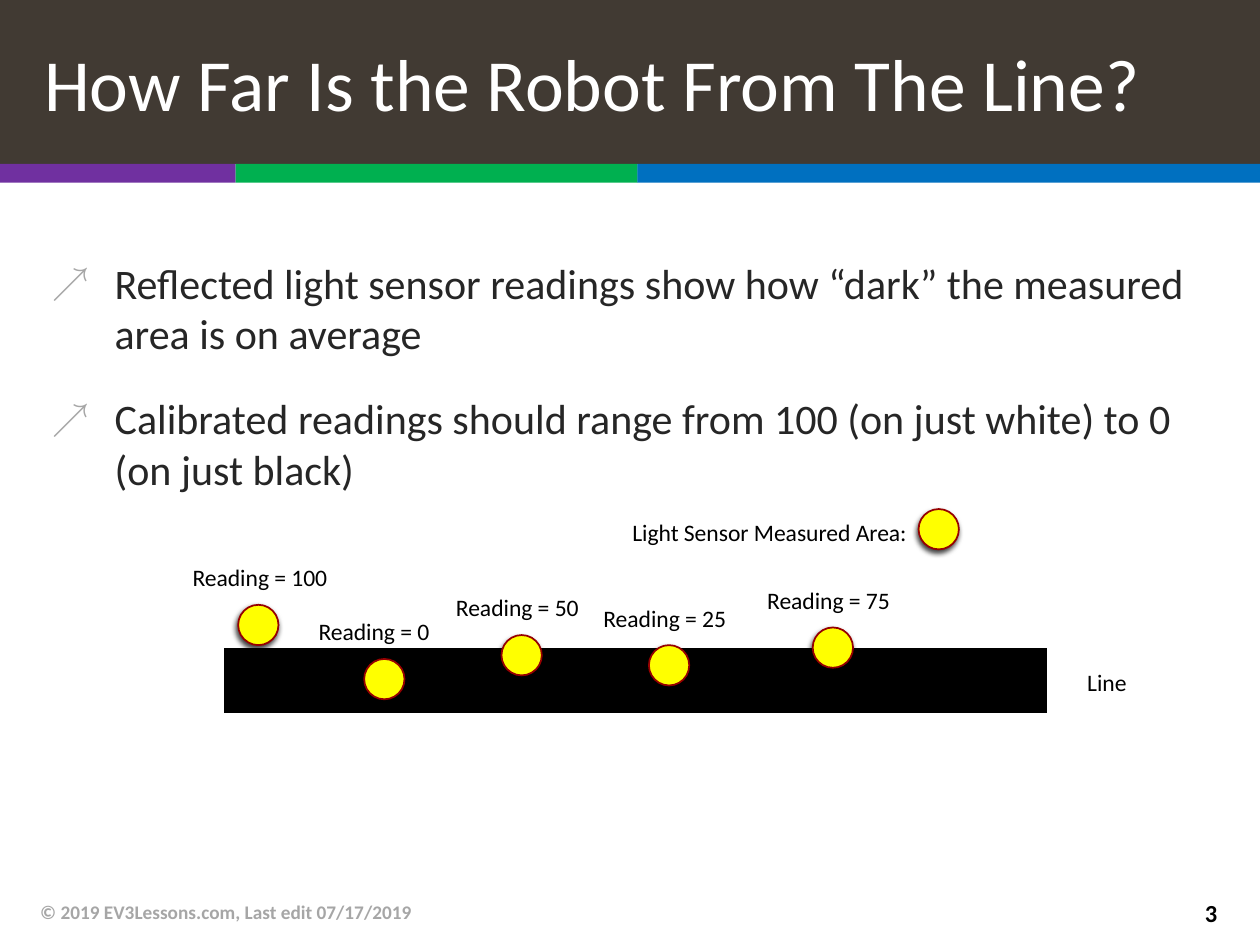
from pptx import Presentation
from pptx.dml.color import RGBColor
from pptx.enum.shapes import MSO_CONNECTOR as Connector, MSO_SHAPE as Shape
from pptx.enum.text import MSO_ANCHOR as Anchor, MSO_AUTO_SIZE as AutoSize, PP_ALIGN as Align
from pptx.oxml import parse_xml
from pptx.oxml.ns import nsdecls
from pptx.util import Inches, Pt

FONT = "Calibri"
BLACK = "000000"
GREY = "A6A6A6"
DOT_SIZE = 0.32


def color(hex_value):
    return RGBColor.from_string(hex_value)


def place(shape, left, top, width, height):
    shape.left, shape.top = Inches(left), Inches(top)
    shape.width, shape.height = Inches(width), Inches(height)


def style(paragraph, size, hex_value, bold=False, align=Align.LEFT):
    paragraph.alignment = align
    for run in paragraph.runs:
        run.font.name = FONT
        run.font.size = Pt(size)
        run.font.bold = bold
        run.font.color.rgb = color(hex_value)


def set_indent(paragraph, margin, indent):
    properties = paragraph._p.get_or_add_pPr()
    properties.set("marL", str(Inches(margin)))
    properties.set("indent", str(Inches(indent)))
    return properties


def add_effects(shape, content=""):
    shape._element.spPr.append(
        parse_xml(f"<a:effectLst {nsdecls('a')}>{content}</a:effectLst>"))


def add_text(slide, text, left, top, width, height, size, hex_value=BLACK,
             bold=False, align=Align.LEFT, anchor=Anchor.MIDDLE, wrap=True):
    box = slide.shapes.add_textbox(
        Inches(left), Inches(top), Inches(width), Inches(height))
    frame = box.text_frame
    frame.text = text
    frame.word_wrap = wrap
    frame.vertical_anchor = anchor
    style(frame.paragraphs[0], size, hex_value, bold, align)


def add_label(slide, text, left, top, width):
    add_text(slide, text, left, top, width, 0.33, 13.5, anchor=Anchor.TOP, wrap=False)


def add_title(slide, text, left, top, width, height):
    title = slide.shapes.title
    place(title, left, top, width, height)
    title.fill.solid()
    title.fill.fore_color.rgb = color("413A33")
    frame = title.text_frame
    frame.text = text
    frame.auto_size = AutoSize.NONE
    frame.vertical_anchor = Anchor.MIDDLE
    paragraph = frame.paragraphs[0]
    set_indent(paragraph, 0.25, 0)
    style(paragraph, 42, "FFFFFF")


def add_color_strip(slide, left, top, height):
    for width, fill in ((1.87, "7030A0"), (3.19, "00B050"), (4.94, "0070C0")):
        band = slide.shapes.add_shape(
            Shape.RECTANGLE, Inches(left), Inches(top), Inches(width), Inches(height))
        band.shadow.inherit = False
        band.fill.solid()
        band.fill.fore_color.rgb = color(fill)
        band.line.fill.background()
        left += width


def add_bullets(slide, texts, left, top, width, height):
    body = slide.placeholders[1]
    place(body, left, top, width, height)
    frame = body.text_frame
    frame.text = "\n".join(texts)
    frame.auto_size = AutoSize.NONE
    for index, paragraph in enumerate(frame.paragraphs):
        properties = set_indent(paragraph, 0.5, -0.5)
        for bullet in (f'<a:buClr {nsdecls("a")}><a:srgbClr val="{GREY}"/></a:buClr>',
                       f'<a:buSzPct {nsdecls("a")} val="90000"/>',
                       f'<a:buChar {nsdecls("a")} char="↗"/>'):
            properties.append(parse_xml(bullet))
        paragraph.space_before = Pt(20 if index else 0)
        style(paragraph, 24, "262626")


def add_sensor_dot(slide, left, top):
    dot = slide.shapes.add_shape(
        Shape.OVAL, Inches(left), Inches(top), Inches(DOT_SIZE), Inches(DOT_SIZE))
    dot.fill.solid()
    dot.fill.fore_color.rgb = color("FFFF00")
    dot.line.color.rgb = color("960000")
    dot.line.width = Pt(1)
    add_effects(dot, f'<a:outerShdw blurRad="{Pt(3)}" dist="{Pt(2)}" dir="{110 * 60000}" '
                     f'rotWithShape="0"><a:srgbClr val="{BLACK}"><a:alpha val="75000"/>'
                     '</a:srgbClr></a:outerShdw>')


def add_line_diagram(slide, left, top, width):
    middle = top + 1.36
    line = slide.shapes.add_connector(
        Connector.STRAIGHT, Inches(left), Inches(middle), Inches(left + width), Inches(middle))
    line.line.color.rgb = color(BLACK)
    line.line.width = Pt(36.75)
    add_effects(line)
    add_label(slide, "Line", left + width + 0.22, middle - 0.15, 0.52)

    add_sensor_dot(slide, left + 5.51, top)
    add_label(slide, "Light Sensor Measured Area:", left + 3.14, top + 0.02, 2.41)

    readings = ((100, 0.11, 0.76, 1.29), (0, 1.11, 1.19, 1.1), (50, 2.2, 1, 1.19),
                (25, 3.37, 1.08, 1.19), (75, 4.67, 0.94, 1.19))
    for reading, across, down, label_width in readings:
        dot_left, dot_top = left + across, top + down
        add_sensor_dot(slide, dot_left, dot_top)
        add_label(slide, f"Reading = {reading}", dot_left - 0.46, dot_top - 0.38, label_width)


def add_footer(slide, top, height):
    add_text(slide, "© 2019 EV3Lessons.com, Last edit 07/17/2019",
             0.22, top, 6.7, height, 11, GREY, bold=True)
    add_text(slide, "3", 9.07, top, 0.69, height, 14, bold=True, align=Align.RIGHT)


def main():
    presentation = Presentation()
    presentation.slide_width, presentation.slide_height = Inches(10), Inches(7.5)
    slide = presentation.slides.add_slide(presentation.slide_layouts[1])
    add_title(slide, "How Far Is the Robot From The Line?", 0, 0, 10, 1.3)
    add_color_strip(slide, 0, 1.3, 0.15)
    add_bullets(slide, (
        "Reflected light sensor readings show how “dark” the measured area is on average",
        "Calibrated readings should range from 100 (on just white) to 0 (on just black)",
    ), 0.31, 1.99, 9.38, 4.71)
    add_line_diagram(slide, 1.78, 4.04, 6.53)
    add_footer(slide, 7.04, 0.4)
    presentation.save("out.pptx")


if __name__ == "__main__":
    main()
